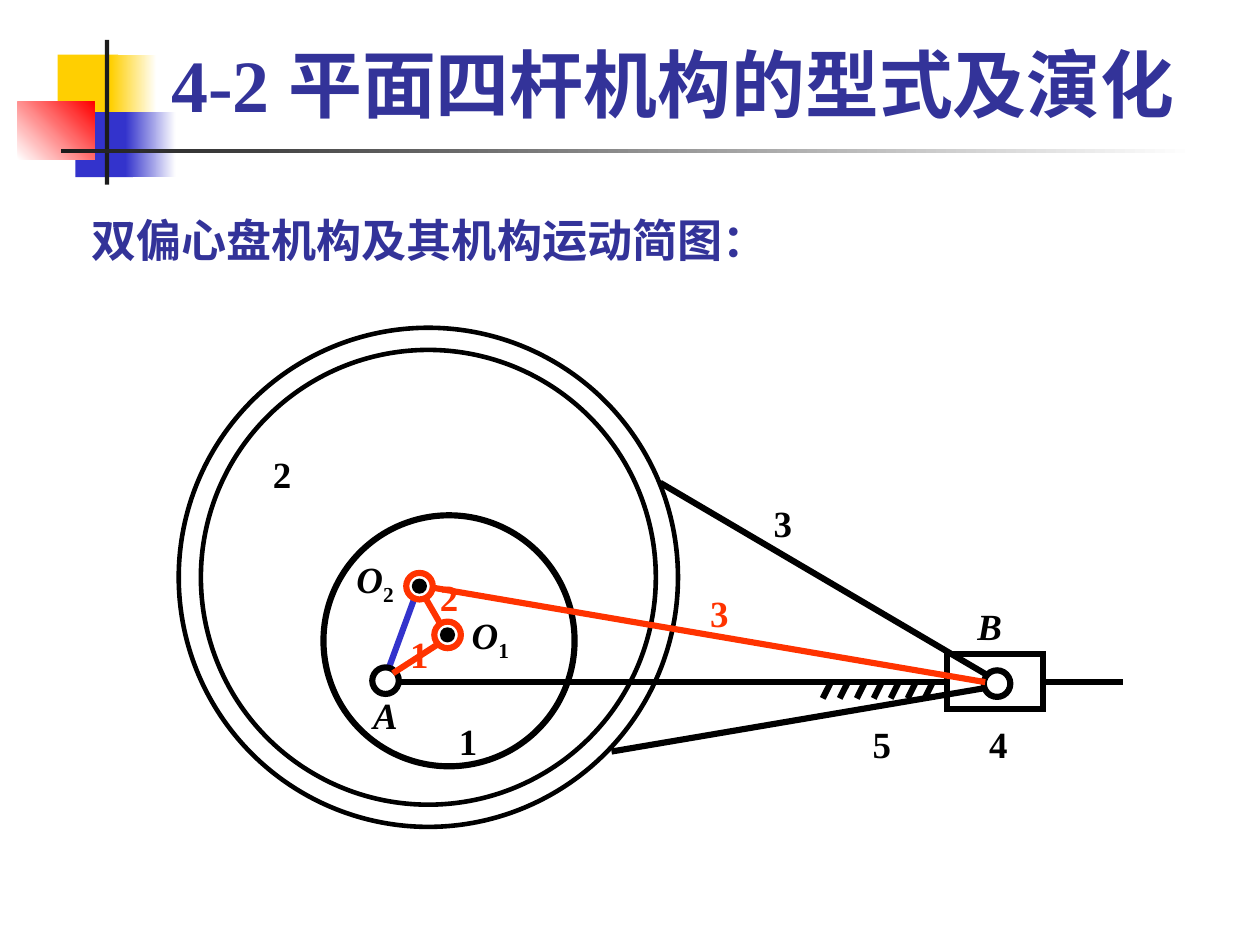
from dataclasses import dataclass
from typing import Any

from lxml import etree
from pptx import Presentation
from pptx.dml.color import RGBColor
from pptx.enum.shapes import MSO_CONNECTOR as Link, MSO_SHAPE as Form
from pptx.enum.text import MSO_ANCHOR as Anchor, PP_ALIGN as Align
from pptx.oxml.ns import qn
from pptx.util import Inches, Pt

BLACK = RGBColor(0x00, 0x00, 0x00)
WHITE = RGBColor(0xFF, 0xFF, 0xFF)
INK = RGBColor(0x1C, 0x1C, 0x1C)
NAVY = RGBColor(0x33, 0x33, 0x99)
BLUE = RGBColor(0x33, 0x33, 0xCC)
GOLD = RGBColor(0xFF, 0xCF, 0x01)
RED = RGBColor(0xFF, 0x00, 0x00)
FLAME = RGBColor(0xFF, 0x33, 0x00)
FONT = "Times New Roman"


@dataclass
class Box:
    """A region of the slide; its parts are placed from its top left corner."""
    slide: Any
    left: float
    top: float

    def pos(self, x, y):
        return Inches(self.left + x), Inches(self.top + y)

    def shape(self, form, x, y, w, h, fill=None, line=None, width=3):
        part = self.slide.shapes.add_shape(
            form, *self.pos(x, y), Inches(w), Inches(h))
        part.shadow.inherit = False
        if fill is None:
            part.fill.background()
        else:
            part.fill.solid()
            part.fill.fore_color.rgb = fill
        if line is None:
            part.line.fill.background()
        else:
            part.line.color.rgb = line
            part.line.width = Pt(width)
            # Sharp corners
            edge = part._element.spPr.find(qn("a:ln"))
            etree.SubElement(edge, qn("a:miter")).set("lim", "800000")
        return part

    def fade(self, x, y, w, h, start, end, angle=0):
        part = self.shape(Form.RECTANGLE, x, y, w, h)
        part.fill.gradient()
        part.fill.gradient_angle = angle
        for stop, color in zip(part.fill.gradient_stops, (start, end)):
            stop.color.rgb = color

    def ring(self, mid, r, fill=None, line=BLACK, width=3):
        x, y = mid
        self.shape(Form.OVAL, x - r, y - r, 2 * r, 2 * r, fill, line, width)

    def line(self, start, end, color=BLACK):
        part = self.slide.shapes.add_connector(
            Link.STRAIGHT, *self.pos(*start), *self.pos(*end))
        part.line.color.rgb = color
        part.line.width = Pt(3)
        etree.SubElement(part._element.spPr, qn("a:effectLst"))

    def text(self, x, y, w, h, anchor, align):
        part = self.slide.shapes.add_textbox(
            *self.pos(x, y), Inches(w), Inches(h))
        frame = part.text_frame
        frame.word_wrap = True
        frame.vertical_anchor = anchor
        frame.margin_left = frame.margin_right = Inches(0.09)
        frame.margin_top = frame.margin_bottom = Inches(0.04)
        para = frame.paragraphs[0]
        para.alignment = align
        return para

    def label(self, mid, word, sub="", color=BLACK, italic=False):
        # Wide enough to keep a letter and its subscript on one line
        w, h = 0.6, 0.4
        para = self.text(mid[0] - w / 2, mid[1] - h / 2, w, h,
                         Anchor.MIDDLE, Align.CENTER)
        add_run(para, word, 18, color, italic)
        if sub:
            run = add_run(para, sub, 18, color)
            run.font._element.set("baseline", "-25000")


def add_run(para, word, size, color, italic=False):
    run = para.add_run()
    run.text = word
    font = run.font
    font.name, font.size, font.bold, font.italic = FONT, Pt(size), True, italic
    font.color.rgb = color
    return run


def draw_head(box):
    # Coloured blocks, each solid on the left and fading to the right
    for x, y, w, tail, color in ((0.27, 0.1, 0.41, 0.31, GOLD),
                                 (0.39, 0.49, 0.39, 0.34, BLUE)):
        box.shape(Form.RECTANGLE, x, y, w, 0.44, color)
        box.fade(x + w - 0.05, y, tail, 0.44, color, WHITE)
    box.fade(0, 0.42, 0.52, 0.39, WHITE, RED, 45)
    # Crossing rules
    box.shape(Form.RECTANGLE, 0.59, 0, 0.03, 0.98, INK)
    box.fade(0.29, 0.74, 7.68, 0.03, INK, WHITE)
    # Title
    para = box.text(0.95, -0.06, 7.27, 0.69, Anchor.BOTTOM, Align.LEFT)
    add_run(para, "4-2 平面四杆机构的型式及演化", 36, NAVY)


def draw_lead(box):
    para = box.text(0, 0, 7.25, 0.43, Anchor.MIDDLE, Align.LEFT)
    add_run(para, "双偏心盘机构及其机构运动简图：", 22, NAVY)


def draw_discs(box):
    # Strap, outer disc and inner disc
    box.ring((1.7, 1.71), 1.69, width=2.25)
    box.ring((1.7, 1.71), 1.54, width=2.25)
    box.ring((1.84, 2.14), 0.85)
    # Line between the pivot and the centre of the outer disc
    box.line((1.43, 2.33), (1.61, 1.84), BLUE)


def draw_guide(box):
    # Pivot A, slider and pin B
    box.ring((1.41, 2.41), 0.09)
    box.ring((5.55, 2.43), 0.09)
    box.shape(Form.RECTANGLE, 5.21, 2.23, 0.65, 0.37, line=BLACK)
    # Rod edges and guide rail
    for start, end in (((3.27, 1.07), (5.48, 2.37)),
                       ((2.94, 2.89), (5.47, 2.46)),
                       ((1.5, 2.42), (5.21, 2.42)),
                       ((5.87, 2.42), (6.4, 2.42))):
        box.line(start, end)
    # Ground hatching
    for i in range(7):
        x = 4.43 + 0.115 * i
        box.line((x, 2.41), (x - 0.06, 2.53))


def draw_links(box):
    # Crank, coupler and rod of the equivalent linkage
    for start, end in (((1.46, 2.36), (1.77, 2.16)),
                       ((1.79, 2.04), (1.68, 1.85)),
                       ((1.73, 1.78), (5.47, 2.42))):
        box.line(start, end, FLAME)
    # Joints at the disc centres
    for mid in ((1.83, 2.1), (1.64, 1.77)):
        box.ring(mid, 0.03, BLACK)
        box.ring(mid, 0.09, line=FLAME)


def draw_names(box):
    for mid, word, sub in (((1.41, 2.64), "A", ""), ((5.5, 2.04), "B", ""),
                           ((2.12, 2.12), "O", "1"), ((1.34, 1.74), "O", "2")):
        box.label(mid, word, sub, italic=True)
    for mid, word in (((1.97, 2.82), "1"), ((0.71, 1.01), "2"),
                      ((4.1, 1.34), "3"), ((5.56, 2.84), "4"),
                      ((4.77, 2.84), "5")):
        box.label(mid, word)
    for mid, word in (((1.64, 2.23), "1"), ((1.84, 1.84), "2"),
                      ((3.67, 1.95), "3")):
        box.label(mid, word, color=FLAME)


def main():
    deck = Presentation()
    deck.slide_width, deck.slide_height = Inches(8.53), Inches(6.4)
    slide = deck.slides.add_slide(deck.slide_layouts[6])
    draw_head(Box(slide, 0.12, 0.27))
    draw_lead(Box(slide, 0.53, 1.41))
    plan = Box(slide, 1.2, 2.2)
    for draw in (draw_discs, draw_guide, draw_links, draw_names):
        draw(plan)
    deck.save("out.pptx")


if __name__ == "__main__":
    main()
